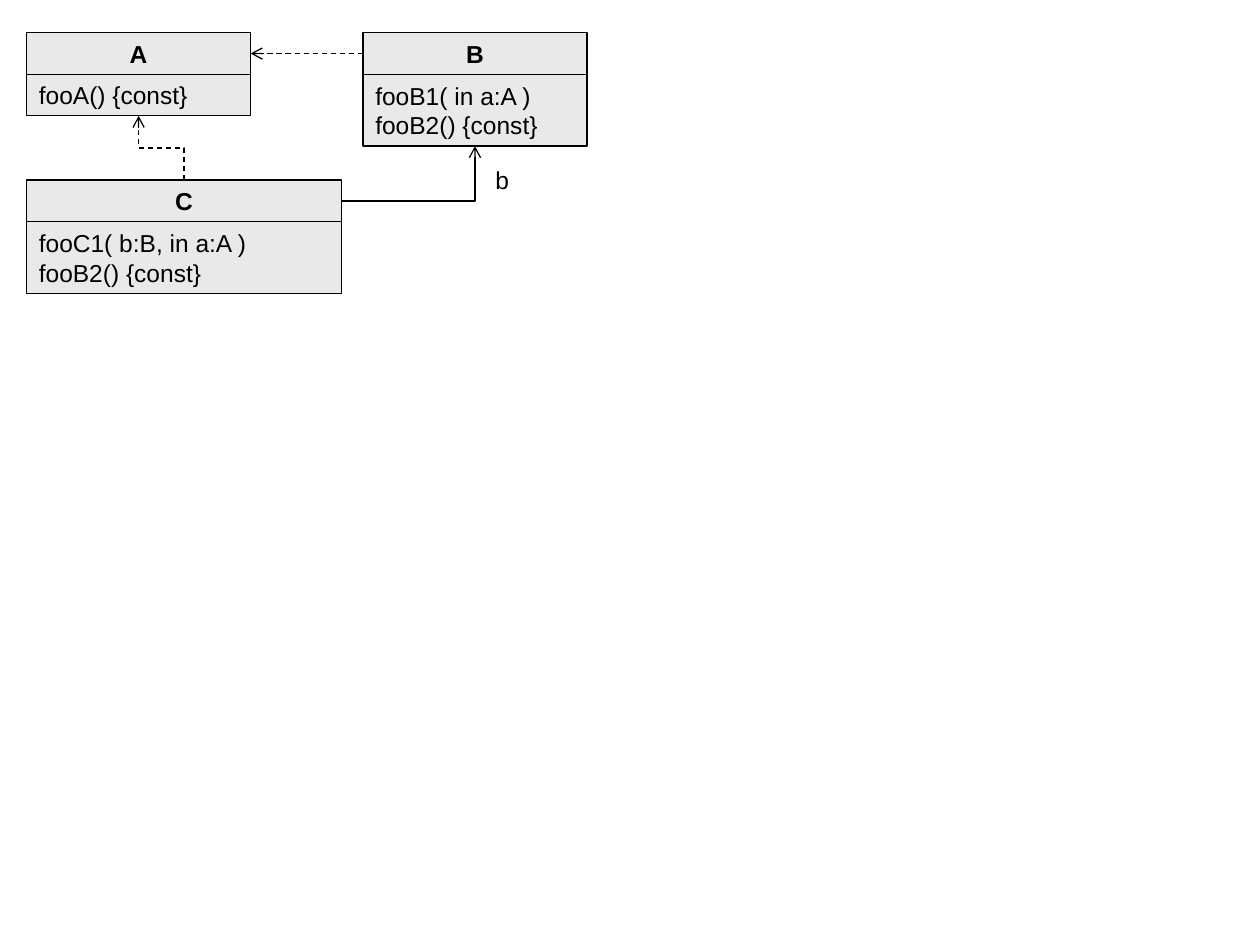
import pptx
import pptx.util
import pptx.dml.color
import pptx.enum.dml
import pptx.enum.shapes
import pptx.enum.text
import pptx.oxml.ns
from lxml import etree

Inches = pptx.util.Inches
Pt = pptx.util.Pt
Align = pptx.enum.text.PP_ALIGN
Connector = pptx.enum.shapes.MSO_CONNECTOR

# Content: class name, left, top, width, operations
CLASSES = [
    ("A", 0.21, 0.26, 1.78, ["fooA() {const}"]),
    ("B", 2.88, 0.26, 1.78, ["fooB1( in a:A )", "fooB2() {const}"]),
    ("C", 0.21, 1.43, 2.5, ["fooC1( b:B, in a:A )", "fooB2() {const}"]),
]
ROLE = ("b", 3.83, 1.26, 0.31, 0.34)
COLORS = {"ink": "000000", "fill": "E9E9E9"}
LINE_HEIGHT, PADDING = 0.24, 0.09
TOP, LEFT, BOTTOM, RIGHT = range(4)

prs = pptx.Presentation()
prs.slide_width, prs.slide_height = Inches(10), Inches(7.5)
slide = prs.slides.add_slide(prs.slide_layouts[6])


def color(name):
    return pptx.dml.color.RGBColor.from_string(COLORS[name])


def write(shape, lines, bold=False, align=Align.LEFT, wrap=True,
          anchor=pptx.enum.text.MSO_ANCHOR.MIDDLE):
    frame = shape.text_frame
    frame.word_wrap = wrap
    frame.vertical_anchor = anchor
    frame.auto_size = pptx.enum.text.MSO_AUTO_SIZE.SHAPE_TO_FIT_TEXT
    for i, line in enumerate(lines):
        paragraph = frame.paragraphs[0] if i == 0 else frame.add_paragraph()
        paragraph.alignment = align
        run = paragraph.add_run()
        run.text = line
        run.font.name, run.font.size, run.font.bold = "Arial", Pt(14), bold
        run.font.color.rgb = color("ink")


def compartment(left, top, width, lines, **text_format):
    height = PADDING + LINE_HEIGHT * len(lines)
    box = slide.shapes.add_shape(
        pptx.enum.shapes.MSO_SHAPE.RECTANGLE,
        Inches(left), Inches(top), Inches(width), Inches(height))
    box.shadow.inherit = False
    box.fill.solid()
    box.fill.fore_color.rgb = color("fill")
    box.line.color.rgb = color("ink")
    box.line.width = Pt(0.75)
    write(box, lines, **text_format)
    return box


def arrow(kind, source, source_side, target, target_side, dashed=False):
    link = slide.shapes.add_connector(kind, 0, 0, 0, 0)
    link.begin_connect(source, source_side)
    link.end_connect(target, target_side)
    link.line.color.rgb = color("ink")
    link.line.width = Pt(0.75)
    if dashed:
        link.line.dash_style = pptx.enum.dml.MSO_LINE.DASH
    etree.SubElement(link.line._get_or_add_ln(),
                     pptx.oxml.ns.qn("a:tailEnd"), type="arrow")
    etree.SubElement(link._element.spPr, pptx.oxml.ns.qn("a:effectLst"))
    return link


# Class boxes: a name compartment above an operations compartment
titles, bodies = {}, {}
for name, left, top, width, operations in CLASSES:
    titles[name] = compartment(left, top, width, [name],
                               bold=True, align=Align.CENTER)
    bodies[name] = compartment(left, top + PADDING + LINE_HEIGHT, width,
                               operations)

# B depends on A
arrow(Connector.STRAIGHT, titles["B"], LEFT, titles["A"], RIGHT, dashed=True)

# C depends on A: the elbow is turned so that it leaves C upwards
c_to_a = arrow(Connector.ELBOW, titles["C"], TOP, bodies["A"], BOTTOM,
               dashed=True)
center_x = c_to_a.left + c_to_a.width // 2
center_y = c_to_a.top + c_to_a.height // 2
run_length, offset = c_to_a.height, c_to_a.width
c_to_a.left, c_to_a.top = center_x - run_length // 2, center_y - offset // 2
c_to_a.width, c_to_a.height = run_length, offset
turn = c_to_a._element.spPr.xfrm
turn.attrib.pop("flipH", None)
turn.set("rot", str(270 * 60000))
turn.set("flipV", "1")

# C holds a B: one bend only
c_to_b = arrow(Connector.ELBOW, titles["C"], RIGHT, bodies["B"], BOTTOM)
c_to_b._element.spPr.prstGeom.set("prst", "bentConnector2")

# Role name on the association
role, *place = ROLE
write(slide.shapes.add_textbox(*map(Inches, place)), [role],
      align=Align.CENTER, wrap=False, anchor=pptx.enum.text.MSO_ANCHOR.TOP)

prs.save("out.pptx")
